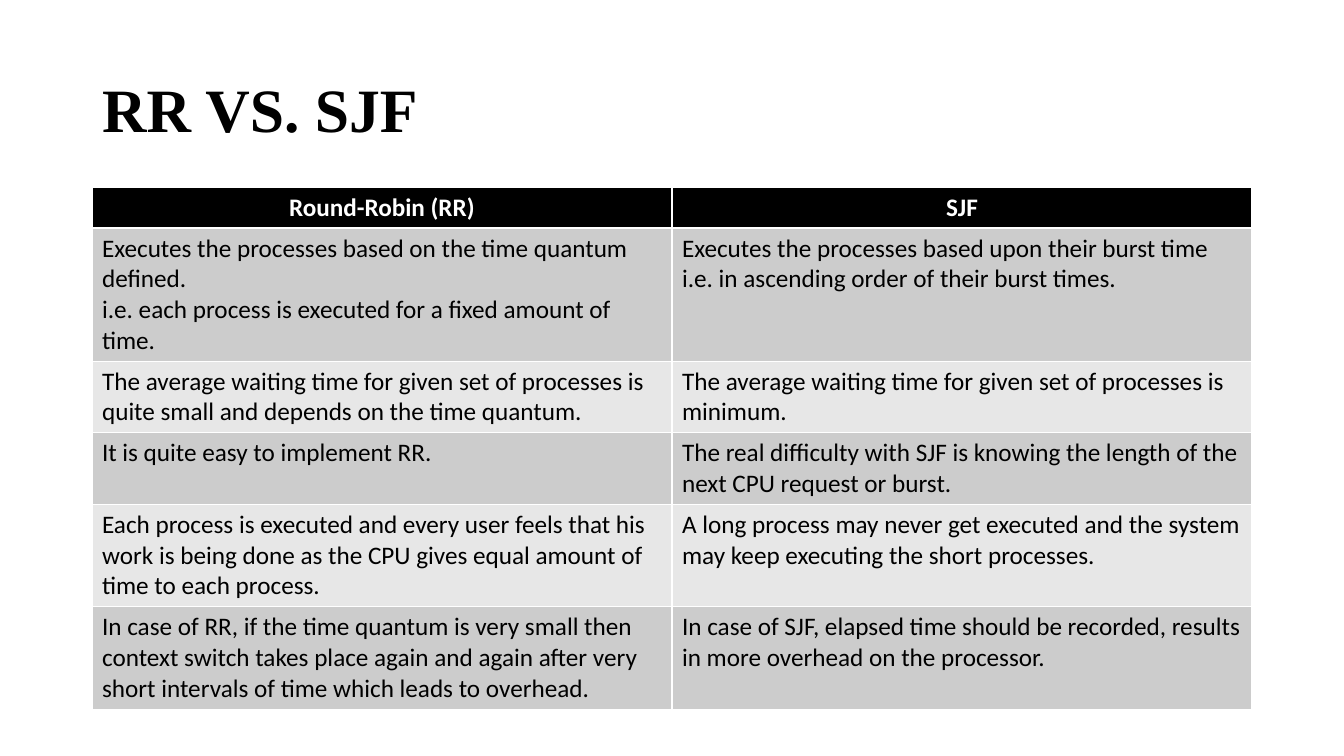
"""Build a slide with a table that compares RR and SJF scheduling."""
from pptx import Presentation
from pptx import util as u
from pptx.dml.color import RGBColor
from pptx.enum import text

TITLE = "RR VS. SJF"
HEADER = ("Round-Robin (RR)", "SJF")
COMPARISON = [
    ("Executes the processes based on the time quantum defined.\n"
     "i.e. each process is executed for a fixed amount of time.",
     "Executes the processes based upon their burst time i.e. in ascending order of their burst times."),
    ("The average waiting time for given set of processes is quite small and depends on the time quantum.",
     "The average waiting time for given set of processes is minimum."),
    ("It is quite easy to implement RR.",
     "The real difficulty with SJF is knowing the length of the next CPU request or burst."),
    ("Each process is executed and every user feels that his work is being done as the CPU gives "
     "equal amount of time to each process.",
     "A long process may never get executed and the system may keep executing the short processes."),
    ("In case of RR, if the time quantum is very small then context switch takes place again and again "
     "after very short intervals of time which leads to overhead.",
     "In case of SJF, elapsed time should be recorded, results in more overhead on the processor."),
]

BLACK = RGBColor(0x00, 0x00, 0x00)
WHITE = RGBColor(0xFF, 0xFF, 0xFF)
BANDS = (RGBColor(0xCC, 0xCC, 0xCC), RGBColor(0xE7, 0xE7, 0xE7))

SLIDE_WIDTH, SLIDE_HEIGHT = 1344, 756
LEFT, WIDTH = 92, 1160
TITLE_TOP, TITLE_HEIGHT = 40, 146
TABLE_TOP, TABLE_HEIGHT, ROW_HEIGHT = 187, 515, 41


def px(pixels):
    return u.Emu(round(pixels * u.Inches(1) / 100.8))


def write(frame, content, font="Calibri", size=18, color=BLACK, bold=False,
          align=text.PP_ALIGN.LEFT, spacing=1.0):
    frame.text = content
    for paragraph in frame.paragraphs:
        paragraph.alignment = align
        paragraph.line_spacing = spacing
        for run in paragraph.runs:
            run.font.name = font
            run.font.size = u.Pt(size)
            run.font.bold = bold
            run.font.color.rgb = color


def add_title(slide):
    title = slide.shapes.title
    title.left, title.top = px(LEFT), px(TITLE_TOP)
    title.width, title.height = px(WIDTH), px(TITLE_HEIGHT)
    write(title.text_frame, TITLE, font="Times New Roman", size=44, bold=True, spacing=0.9)
    title.text_frame.vertical_anchor = text.MSO_ANCHOR.MIDDLE


def add_comparison(slide):
    rows = [HEADER, *COMPARISON]
    frame = slide.shapes.add_table(len(rows), len(HEADER), px(LEFT), px(TABLE_TOP),
                                   px(WIDTH), px(TABLE_HEIGHT))
    table = frame.table
    for row_index, row in enumerate(rows):
        table.rows[row_index].height = px(ROW_HEIGHT)
        is_header = row_index == 0
        for column_index, content in enumerate(row):
            cell = table.cell(row_index, column_index)
            cell.fill.solid()
            cell.fill.fore_color.rgb = BLACK if is_header else BANDS[(row_index - 1) % 2]
            write(cell.text_frame, content, bold=is_header,
                  color=WHITE if is_header else BLACK,
                  align=text.PP_ALIGN.CENTER if is_header else text.PP_ALIGN.LEFT)
    frame.height = px(TABLE_HEIGHT)


presentation = Presentation()
presentation.slide_width, presentation.slide_height = px(SLIDE_WIDTH), px(SLIDE_HEIGHT)
slide = presentation.slides.add_slide(presentation.slide_layouts[5])
add_title(slide)
add_comparison(slide)
presentation.save("out.pptx")
